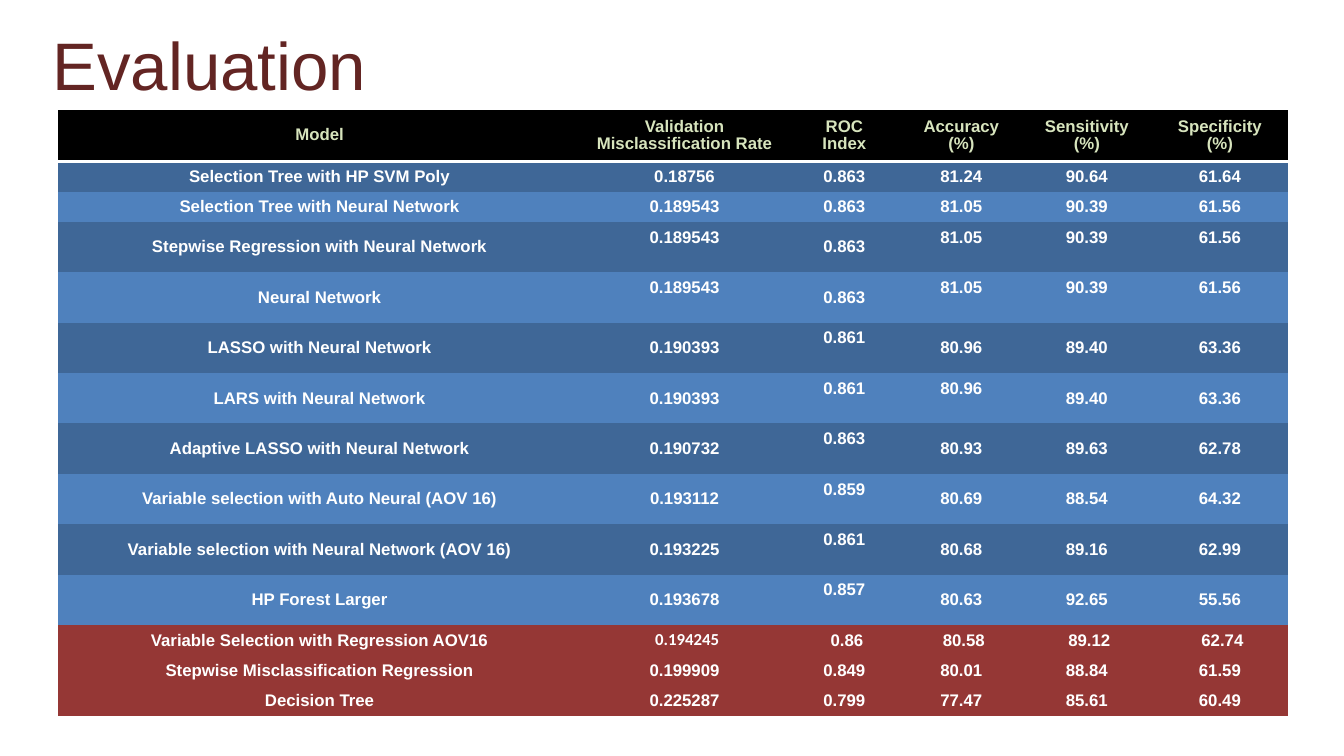
from pptx import Presentation
from pptx.dml.color import RGBColor
from pptx.enum.text import MSO_ANCHOR, MSO_AUTO_SIZE, PP_ALIGN
from pptx.oxml import parse_xml
from pptx.oxml.ns import nsdecls, qn
from pptx.util import Inches, Pt

WHITE = RGBColor(0xFF, 0xFF, 0xFF)
BLACK = RGBColor(0x00, 0x00, 0x00)
MAROON = RGBColor(0x63, 0x25, 0x23)
PALE_GREEN = RGBColor(0xD7, 0xE4, 0xBD)
DARK_BLUE = RGBColor(0x3F, 0x67, 0x97)
BLUE = RGBColor(0x4F, 0x81, 0xBD)
RED = RGBColor(0x95, 0x37, 0x35)

NO_STYLE = "{2D5ABB26-0587-4C30-8999-92F81FD0307C}"
COLS = [5.23, 2.01, 1.16, 1.16, 1.33, 1.31]
ROWS = [0.51] + [0.3] * 2 + [0.5] * 8 + [0.3] * 3
FIRST_RED = 11
RAISED = {3: (1, 3, 4, 5), 4: (1, 3, 4, 5), 5: (2,), 6: (2, 3),
          7: (2,), 8: (2,), 9: (2,), 10: (2,)}
DATA = [
    ("Model", "Validation\nMisclassification Rate", "ROC\nIndex",
     "Accuracy\n(%)", "Sensitivity\n(%)", "Specificity\n(%)"),
    ("Selection Tree with HP SVM Poly", "0.18756", "0.863", "81.24", "90.64", "61.64"),
    ("Selection Tree with Neural Network", "0.189543", "0.863", "81.05", "90.39", "61.56"),
    ("Stepwise Regression with Neural Network", "0.189543", "0.863", "81.05", "90.39", "61.56"),
    ("Neural Network", "0.189543", "0.863", "81.05", "90.39", "61.56"),
    ("LASSO with Neural Network", "0.190393", "0.861", "80.96", "89.40", "63.36"),
    ("LARS with Neural Network", "0.190393", "0.861", "80.96", "89.40", "63.36"),
    ("Adaptive LASSO with Neural Network", "0.190732", "0.863", "80.93", "89.63", "62.78"),
    ("Variable selection with Auto Neural (AOV 16)", "0.193112", "0.859", "80.69", "88.54", "64.32"),
    ("Variable selection with Neural Network (AOV 16)", "0.193225", "0.861", "80.68", "89.16", "62.99"),
    ("HP Forest Larger", "0.193678", "0.857", "80.63", "92.65", "55.56"),
    ("Variable Selection with Regression AOV16", "0.194245", "0.86", "80.58", "89.12", "62.74"),
    ("Stepwise Misclassification Regression", "0.199909", "0.849", "80.01", "88.84", "61.59"),
    ("Decision Tree", "0.225287", "0.799", "77.47", "85.61", "60.49"),
]


def set_font(font, color, **values):
    for name, value in values.items():
        setattr(font, name, value)
    font.color.rgb = color


prs = Presentation()
prs.slide_width, prs.slide_height = Inches(13.33), Inches(7.5)
s = prs.slides.add_slide(prs.slide_layouts[5])

title = s.shapes.title
title.left, title.top, title.width, title.height = map(Inches, (0.52, 0.22, 11.1, 0.83))
title.text = "Evaluation"
tf = title.text_frame
frame_format = dict(margin_left=0, margin_top=0, margin_right=0, margin_bottom=0,
                    vertical_anchor=MSO_ANCHOR.MIDDLE, auto_size=MSO_AUTO_SIZE.NONE)
for name, value in frame_format.items():
    setattr(tf, name, value)
p = tf.paragraphs[0]
p.alignment = PP_ALIGN.LEFT
set_font(p.runs[0].font, MAROON, name="Arial", size=Pt(48))

table = s.shapes.add_table(len(ROWS), len(COLS), Inches(0.58), Inches(1.09),
                           Inches(sum(COLS)), Inches(sum(ROWS))).table
table.first_row = table.horz_banding = False
table._tbl.tblPr.find(qn("a:tableStyleId")).text = NO_STYLE
for column, width in zip(table.columns, COLS):
    column.width = Inches(width)

for i, values in enumerate(DATA):
    table.rows[i].height = Inches(ROWS[i])
    if i == 0:
        fill, color = BLACK, PALE_GREEN
    elif i >= FIRST_RED:
        fill, color = RED, WHITE
    else:
        fill, color = (DARK_BLUE if i % 2 else BLUE), WHITE
    for j, value in enumerate(values):
        cell = table.cell(i, j)
        raised = j in RAISED.get(i, ())
        centred = i == FIRST_RED and j > 0
        cell_format = dict(
            text=value,
            vertical_anchor=MSO_ANCHOR.TOP if raised else MSO_ANCHOR.MIDDLE,
            margin_top=Inches(0.06 if raised else 0.05),
            margin_bottom=Inches(0.05),
            margin_left=Inches(0.1),
            margin_right=Inches(0.1 if centred else 0.15))
        for name, setting in cell_format.items():
            setattr(cell, name, setting)
        cell.fill.solid()
        cell.fill.fore_color.rgb = fill
        for p in cell.text_frame.paragraphs:
            p.alignment = PP_ALIGN.CENTER
            if i == 0:
                p.line_spacing = 0.93
            set_font(p.runs[0].font, color, size=Pt(12), bold=True,
                     name="Calibri" if centred and j == 1 else "Arial")
        if i == 0:
            cell._tc.get_or_add_tcPr().insert(0, parse_xml(
                f'<a:lnB {nsdecls("a")} w="{Pt(2)}"><a:solidFill>'
                f'<a:srgbClr val="{WHITE}"/></a:solidFill></a:lnB>'))

prs.save("out.pptx")
